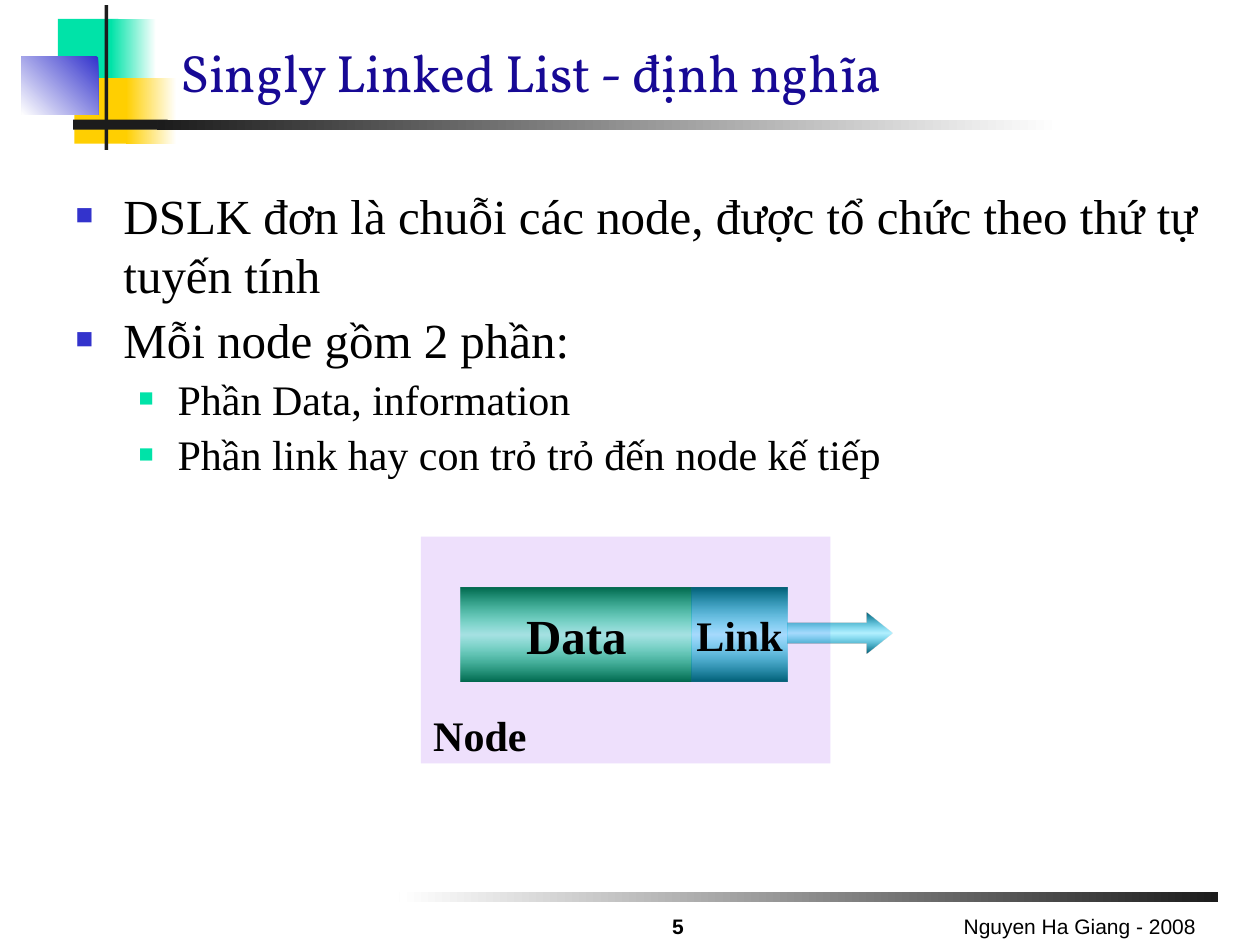
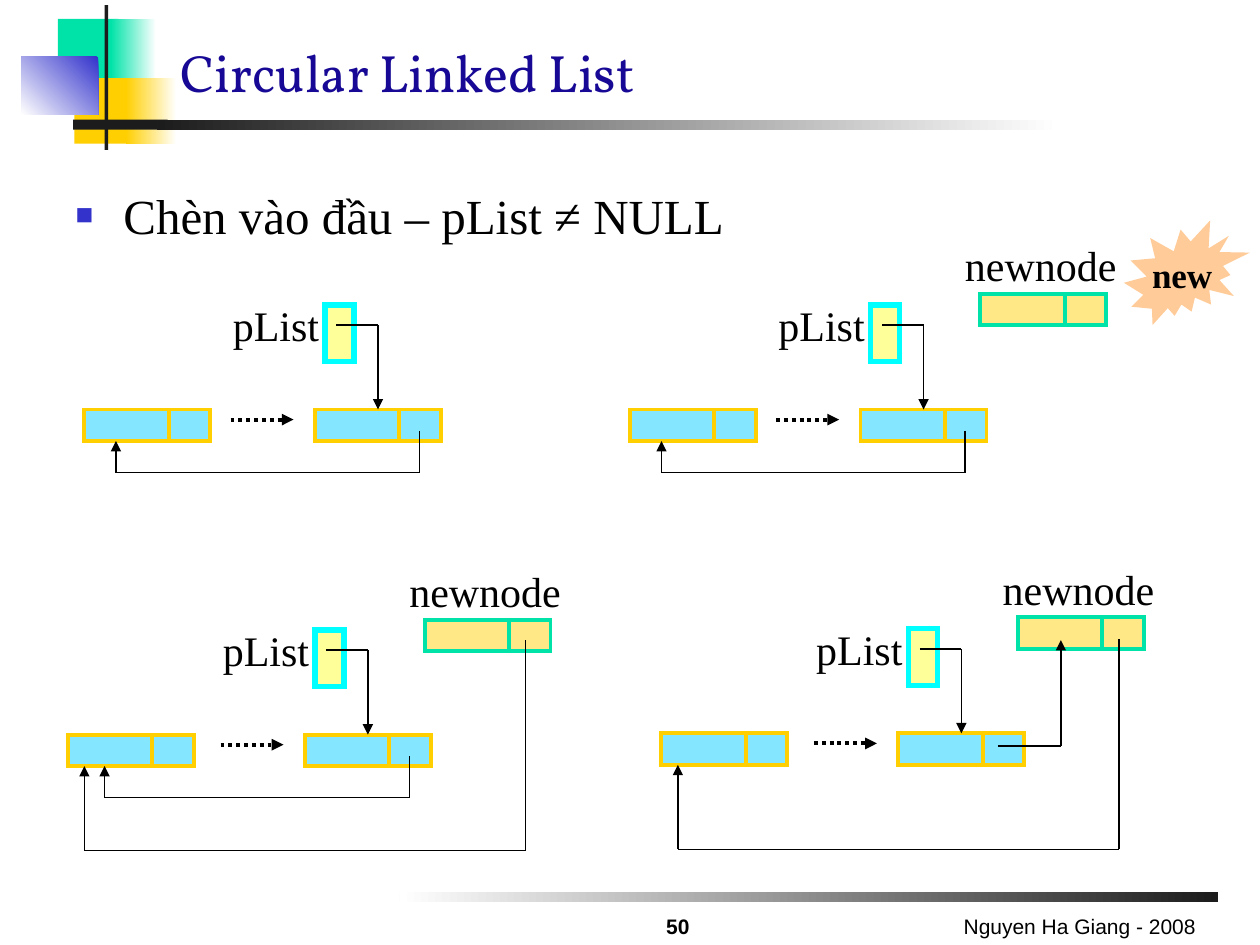
from dataclasses import dataclass
from itertools import pairwise

from lxml import etree
from pptx import Presentation
from pptx.dml.color import RGBColor
from pptx.enum.dml import MSO_LINE
from pptx.enum.shapes import MSO_CONNECTOR, MSO_SHAPE
from pptx.enum.text import MSO_ANCHOR, MSO_AUTO_SIZE, PP_ALIGN
from pptx.oxml.ns import qn
from pptx.util import Inches, Pt

RECT = MSO_SHAPE.RECTANGLE
RIGHT_ARROW = MSO_SHAPE.RIGHT_ARROW
BURST = MSO_SHAPE.EXPLOSION2
STRAIGHT = MSO_CONNECTOR.STRAIGHT
DOTTED = MSO_LINE.ROUND_DOT
MIDDLE, BOTTOM = MSO_ANCHOR.MIDDLE, MSO_ANCHOR.BOTTOM
LEFT, CENTER, RIGHT = PP_ALIGN.LEFT, PP_ALIGN.CENTER, PP_ALIGN.RIGHT
NO_FIT, GROW = MSO_AUTO_SIZE.NONE, MSO_AUTO_SIZE.SHAPE_TO_FIT_TEXT

SERIF, SANS, TITLE_FONT = "Times New Roman", "Arial", "Vollkorn"
BLACK, WHITE, INK, NAVY = "000000", "FFFFFF", "1C1C1C", "170995"
GREEN, YELLOW, BLUE, SKY = "00E3A8", "FFCF01", "3333CC", "00CCFF"
AQUA, CREAM, PEACH, VIOLET = "00FFFF", "FFFF99", "FFCC99", "7F11EE"
DARK_GREEN, DARK_SKY = "00684D", "005E75"

Point = tuple[float, float]
Box = tuple[float, float, float, float]


@dataclass(frozen=True)
class Stop:
    at: int
    color: str
    alpha: int = 100


@dataclass(frozen=True)
class Fill:
    """A plain colour, or a gradient when stops are given."""
    color: str = WHITE
    alpha: int = 100
    stops: tuple[Stop, ...] = ()
    angle: int = 0


@dataclass(frozen=True)
class TextStyle:
    size: float
    font: str = SERIF
    color: str = BLACK
    bold: bool = False
    align: PP_ALIGN = LEFT


@dataclass(frozen=True)
class BulletLevel:
    size: float
    margin: float
    hanging: float
    before: float
    color: str


@dataclass(frozen=True)
class ListScene:
    """A circular list; links and the new node are relative to its origin."""
    origin: Point
    tail_dx: float
    links: tuple[tuple[Point, ...], ...]
    new_node: Point | None = None


def fade(start: str, end: str, angle: int) -> Fill:
    return Fill(stops=(Stop(0, start), Stop(100, end)), angle=angle)


def tube(edge: str, core: str) -> Fill:
    return Fill(stops=(Stop(0, edge), Stop(50, core, 30), Stop(100, edge)), angle=90)


DECORATIONS: tuple[tuple[Box, Fill], ...] = (
    ((3.17, 7.08, 6.5, 0.08), fade(INK, WHITE, 180)),
    ((0.46, 0.15, 0.48, 0.52), Fill(GREEN)),
    ((0.88, 0.15, 0.36, 0.52), fade(WHITE, GREEN, 180)),
    ((0.59, 0.62, 0.46, 0.52), Fill(YELLOW)),
    ((1, 0.62, 0.4, 0.52), fade(WHITE, YELLOW, 180)),
    ((0.17, 0.45, 0.61, 0.46), fade(BLUE, WHITE, 135)),
    ((0.83, 0.04, 0.03, 1.15), Fill(INK)),
    ((0.58, 0.95, 0.75, 0.08), Fill(INK)),
    ((1.25, 0.95, 7.16, 0.08), fade(WHITE, INK, 180)),
)
LEVELS = (BulletLevel(28, 0.38, 0.38, 3.5, BLUE), BulletLevel(24, 0.81, 0.31, 3, GREEN))
TITLE_STYLE = TextStyle(30, TITLE_FONT, NAVY)
LABEL = TextStyle(24)

SHORT_LOOP = ((2.66, 0.17), (2.66, 0.5), (0.25, 0.5), (0.25, 0.25))
OLD_LOOP = ((2.71, 0.17), (2.71, 0.5), (0.29, 0.5), (0.29, 0.25))
NEW_LOOP = ((3.63, -0.75), (3.63, 0.92), (0.13, 0.92), (0.13, 0.25))
TAIL_TO_NEW = ((2.67, 0.1), (3.17, 0.1), (3.17, -0.74))
SCENES = (
    ListScene((0.67, 3.25), 1.83, (SHORT_LOOP,)),
    ListScene((5, 3.25), 1.83, (SHORT_LOOP,), (2.78, -0.92)),
    ListScene((0.54, 5.83), 1.88, (OLD_LOOP, NEW_LOOP), (2.83, -0.91)),
    ListScene((5.25, 5.82), 1.88, (NEW_LOOP, TAIL_TO_NEW), (2.83, -0.92)),
)


def rgb(color: str) -> RGBColor:
    return RGBColor.from_string(color)


def add_alpha(color_element, alpha: int) -> None:
    if alpha < 100:
        etree.SubElement(color_element, qn("a:alpha"), val=str(alpha * 1000))


def apply_fill(shape, fill: Fill) -> None:
    properties = shape.element.spPr
    if not fill.stops:
        shape.fill.solid()
        shape.fill.fore_color.rgb = rgb(fill.color)
        add_alpha(properties.find(qn("a:solidFill"))[0], fill.alpha)
        return
    shape.fill.gradient()
    shape.fill.gradient_angle = (360 - fill.angle) % 360
    stop_list = properties.find(qn("a:gradFill")).find(qn("a:gsLst"))
    for old_stop in list(stop_list):
        stop_list.remove(old_stop)
    for stop in fill.stops:
        entry = etree.SubElement(stop_list, qn("a:gs"), pos=str(stop.at * 1000))
        color = etree.SubElement(entry, qn("a:srgbClr"), val=stop.color)
        add_alpha(color, stop.alpha)


def place(shape, box: Box) -> None:
    shape.left, shape.top, shape.width, shape.height = map(Inches, box)


def format_runs(paragraph, style: TextStyle) -> None:
    paragraph.alignment = style.align
    for run in paragraph.runs:
        run.font.size = Pt(style.size)
        run.font.name = style.font
        run.font.bold = style.bold
        run.font.color.rgb = rgb(style.color)


def write(frame, text: str, style: TextStyle) -> None:
    frame.text = text
    format_runs(frame.paragraphs[0], style)


def add_block(slide, box: Box, fill: Fill, line: str = "", weight: float = 2.25,
              kind: MSO_SHAPE = RECT, text: str = "", style: TextStyle = LABEL):
    block = slide.shapes.add_shape(kind, *map(Inches, box))
    block.shadow.inherit = False
    apply_fill(block, fill)
    if line:
        block.line.color.rgb = rgb(line)
        block.line.width = Pt(weight)
        outline = block.element.spPr.find(qn("a:ln"))
        etree.SubElement(outline, qn("a:miter"), lim="800000")
    else:
        block.line.fill.background()
    if text:
        block.text_frame.word_wrap = False
        block.text_frame.vertical_anchor = MIDDLE
        write(block.text_frame, text, style)
    return block


def add_label(slide, box: Box, text: str, style: TextStyle) -> None:
    frame = slide.shapes.add_textbox(*map(Inches, box)).text_frame
    frame.word_wrap = False
    frame.auto_size = GROW
    write(frame, text, style)


def add_footer(slide, box: Box, text: str, style: TextStyle) -> None:
    frame = slide.shapes.add_textbox(*map(Inches, box)).text_frame
    frame.word_wrap = True
    frame.vertical_anchor = BOTTOM
    write(frame, text, style)


def add_path(slide, points: tuple[Point, ...], origin: Point,
             weight: float = 0.75, dotted: bool = False) -> None:
    """Draw straight segments through the points, with an arrowhead at the last."""
    ox, oy = origin
    for (x1, y1), (x2, y2) in pairwise(points):
        segment = slide.shapes.add_connector(
            STRAIGHT, Inches(ox + x1), Inches(oy + y1), Inches(ox + x2), Inches(oy + y2))
        segment.line.color.rgb = rgb(BLACK)
        segment.line.width = Pt(weight)
        if dotted:
            segment.line.dash_style = DOTTED
        etree.SubElement(segment.element.spPr, qn("a:effectLst"))
    outline = segment.element.spPr.find(qn("a:ln"))
    etree.SubElement(outline, qn("a:tailEnd"), type="triangle")


def format_bullet(paragraph, level: BulletLevel, first: bool) -> None:
    properties = paragraph._p.get_or_add_pPr()
    properties.set("marL", str(Inches(level.margin)))
    properties.set("indent", str(-Inches(level.hanging)))
    bullet_color = etree.SubElement(properties, qn("a:buClr"))
    etree.SubElement(bullet_color, qn("a:srgbClr"), val=level.color)
    etree.SubElement(properties, qn("a:buSzPct"), val="60000")
    etree.SubElement(properties, qn("a:buFont"), typeface=SANS)
    etree.SubElement(properties, qn("a:buChar"), char="■")
    paragraph.space_before = Pt(0 if first else level.before)
    format_runs(paragraph, TextStyle(level.size))


def add_list_slide(deck, title: str, items: tuple[tuple[int, str], ...], number: int):
    """Add a slide with the shared decorations, title, bullets and footers."""
    slide = deck.slides.add_slide(deck.slide_layouts[1])
    for box, fill in DECORATIONS:
        add_block(slide, box, fill)

    heading = slide.shapes.title
    place(heading, (1.33, 0.2, 8.5, 0.67))
    heading.text_frame.vertical_anchor = BOTTOM
    heading.text_frame.auto_size = NO_FIT
    write(heading.text_frame, title, TITLE_STYLE)

    body = slide.placeholders[1]
    place(body, (0.5, 1.42, 9.29, 5.58))
    frame = body.text_frame
    frame.auto_size = NO_FIT
    for index, (depth, text) in enumerate(items):
        paragraph = frame.add_paragraph() if index else frame.paragraphs[0]
        paragraph.text = text
        paragraph.level = depth
        format_bullet(paragraph, LEVELS[depth], index == 0)

    add_footer(slide, (6.42, 7.17, 3.17, 0.33), "Nguyen Ha Giang - 2008",
               TextStyle(12, SANS, align=RIGHT))
    add_footer(slide, (4.92, 7.23, 0.92, 0.27), str(number),
               TextStyle(12, SANS, bold=True, align=CENTER))
    return slide


def add_node(slide, x: float, y: float, color: str, line: str) -> None:
    fill = Fill(color, 48)
    add_block(slide, (x, y, 0.67, 0.25), fill, line)
    add_block(slide, (x + 0.67, y, 0.33, 0.25), fill, line)


def add_scene(slide, scene: ListScene) -> None:
    x, y = scene.origin
    tail = scene.tail_dx
    add_node(slide, x, y, SKY, YELLOW)
    add_path(slide, ((tail - 0.67, 0.08), (tail - 0.17, 0.08)), scene.origin, 2.25, True)
    add_node(slide, x + tail, y, SKY, YELLOW)
    add_block(slide, (x + tail + 0.08, y - 0.83, 0.23, 0.45), Fill(CREAM), AQUA, 3)
    add_label(slide, (x + tail - 0.75, y - 0.92, 0.9, 0.5), "pList", LABEL)
    if scene.new_node:
        new_x, new_y = x + scene.new_node[0], y + scene.new_node[1]
        add_node(slide, new_x, new_y, YELLOW, GREEN)
        add_label(slide, (new_x - 0.22, new_y - 0.48, 1.4, 0.5), "newnode", LABEL)
    head_pointer = ((tail + 0.17, -0.67), (tail + 0.5, -0.67), (tail + 0.5, 0))
    for link in (head_pointer, *scene.links):
        add_path(slide, link, scene.origin)


def build_definition(deck) -> None:
    slide = add_list_slide(deck, "Singly Linked List - định nghĩa", (
        (0, "DSLK đơn là chuỗi các node, được tổ chức theo thứ tự tuyến tính"),
        (0, "Mỗi node gồm 2 phần:"),
        (1, "Phần Data, information"),
        (1, "Phần link hay con trỏ trỏ đến node kế tiếp"),
    ), 5)
    link_fill = tube(DARK_SKY, SKY)
    add_block(slide, (3.34, 4.26, 3.25, 1.8), Fill(VIOLET, 13))
    add_block(slide, (3.66, 4.66, 1.83, 0.75), tube(DARK_GREEN, GREEN),
              text="Data", style=TextStyle(28, bold=True, align=CENTER))
    add_block(slide, (5.49, 4.66, 0.76, 0.75), link_fill,
              text="Link", style=TextStyle(24, bold=True, align=CENTER))
    arrow = add_block(slide, (6.25, 4.86, 0.83, 0.33), link_fill, kind=RIGHT_ARROW)
    arrow.adjustments[1] = 0.625
    add_label(slide, (3.34, 5.58, 0.94, 0.5), "Node", TextStyle(24, bold=True))


def build_insertion(deck) -> None:
    slide = add_list_slide(deck, "Circular Linked List",
                           ((0, "Chèn vào đầu – pList ≠ NULL"),), 50)
    for scene in SCENES:
        add_scene(slide, scene)
    add_block(slide, (8.92, 1.75, 1, 0.83), Fill(PEACH), kind=BURST,
              text="new", style=TextStyle(20, bold=True, align=CENTER))


def main() -> None:
    deck = Presentation()
    deck.slide_width, deck.slide_height = Inches(10), Inches(7.5)
    build_definition(deck)
    build_insertion(deck)
    deck.save("out.pptx")


if __name__ == "__main__":
    main()
